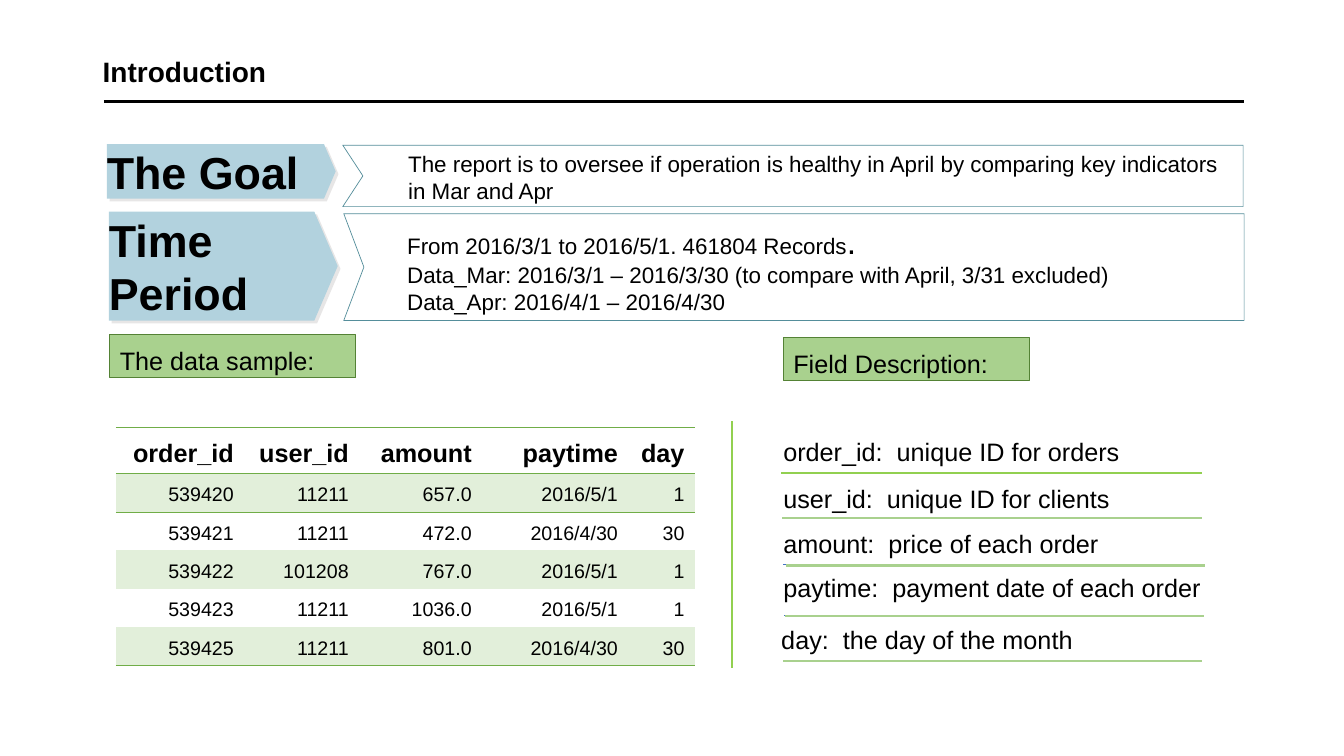
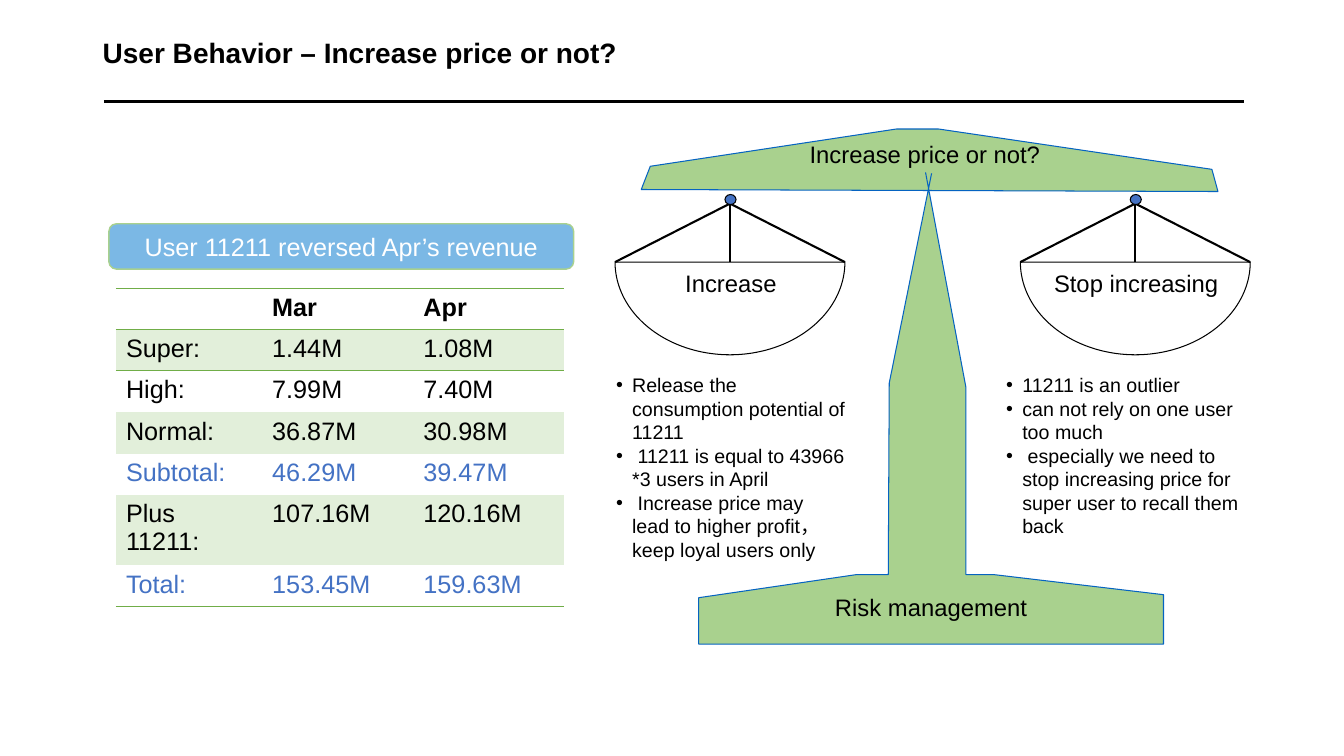
from lxml import etree
from pptx import Presentation
from pptx import util as u
from pptx.dml.color import RGBColor
from pptx.enum import shapes, text
from pptx.oxml import ns

Inches, Pt = u.Inches, u.Pt
SHAPE = shapes.MSO_SHAPE
ALIGN = text.PP_ALIGN
ANCHOR = text.MSO_ANCHOR
FONT = "Arial"
PLAIN_TABLE_STYLE = "{2D5ABB26-0587-4C30-8999-92F81FD0307C}"
COLORS = {
    "black": "000000", "white": "FFFFFF", "blue": "4472C4", "sky": "7BB8E5",
    "outline": "0563C1", "green": "70AD47", "leaf": "A9D18E", "lime": "92D050",
    "forest": "548235", "band": "E2EFDA", "plate": "B2D2DE", "teal": "558E9B",
    "shade": "E7E6E6",
}


def rgb(name):
    """Look up a named colour."""
    return RGBColor.from_string(COLORS[name])


def child(parent, tag, **attributes):
    """Append a DrawingML element."""
    return etree.SubElement(parent, ns.qn(tag), attributes)


def write(frame, lines, size, color="black", bold=False, align=ALIGN.LEFT,
          spacing=None, bullet=False):
    """Write one paragraph per line in a text frame."""
    for index, line in enumerate(lines):
        paragraph = frame.paragraphs[0] if index == 0 else frame.add_paragraph()
        paragraph.text = line
        paragraph.alignment = align
        if spacing:
            paragraph.line_spacing = spacing
        if bullet:
            properties = paragraph._p.get_or_add_pPr()
            properties.set("marL", str(Inches(0.16)))
            properties.set("indent", str(-Inches(0.16)))
            child(properties, "a:buFont", typeface=FONT)
            child(properties, "a:buChar", char="•")
        font = paragraph.font
        font.name, font.size, font.bold = FONT, Pt(size), bold
        font.color.rgb = rgb(color)


def prepare(frame, inset=True, anchor=ANCHOR.TOP):
    """Set wrapping, anchor and margins of a text frame."""
    frame.word_wrap = True
    frame.vertical_anchor = anchor
    if not inset:
        frame.margin_left = frame.margin_right = 0
        frame.margin_top = frame.margin_bottom = 0


def add_text(slide, box, lines, size, inset=True, anchor=ANCHOR.TOP, **style):
    """Add a text box and return it."""
    shape = slide.shapes.add_textbox(*map(Inches, box))
    prepare(shape.text_frame, inset, anchor)
    write(shape.text_frame, lines, size, **style)
    return shape


def paint(shape, fill=None, line=None, width=0.75):
    """Set fill and outline, without a shadow."""
    shape.shadow.inherit = False
    if fill:
        shape.fill.solid()
        shape.fill.fore_color.rgb = rgb(fill)
    else:
        shape.fill.background()
    if line:
        shape.line.color.rgb = rgb(line)
        shape.line.width = Pt(width)
    else:
        shape.line.fill.background()


def add_shape(slide, kind, box, **look):
    """Add a painted preset shape."""
    shape = slide.shapes.add_shape(kind, *map(Inches, box))
    paint(shape, **look)
    return shape


def add_outline(slide, points, close=True, **look):
    """Add a painted polygon through points in inches."""
    corners = [(Inches(x), Inches(y)) for x, y in points]
    builder = slide.shapes.build_freeform(*corners[0])
    builder.add_line_segments(corners[1:], close=close)
    paint(builder.convert_to_shape(), **look)


def add_line(slide, start, end, color="black", width=1.5):
    """Add a straight line."""
    line = slide.shapes.add_connector(
        shapes.MSO_CONNECTOR.STRAIGHT, *map(Inches, (*start, *end)))
    line.line.color.rgb = rgb(color)
    line.line.width = Pt(width)
    child(line._element.spPr, "a:effectLst")


def add_header(slide, title, top):
    """Add the title and the rule below it."""
    add_text(slide, (0.92, top, 11.5, 0.54), [title], 20, bold=True,
             anchor=ANCHOR.MIDDLE, spacing=1.2)
    add_line(slide, (1.03, 1.01), (12.34, 1.01), width=2.25)


def add_border(cell, side):
    """Draw a green border on one side of a cell."""
    line = child(cell._tc.get_or_add_tcPr(), side, w=str(Pt(1)))
    fill = child(line, "a:solidFill")
    child(fill, "a:srgbClr", val=COLORS["green"])


def add_grid(slide, left, top, widths, heights, rows, body_size, accents=(),
             anchor=ANCHOR.TOP, **style):
    """Add a banded table with green rules; accent rows are blue."""
    frame = slide.shapes.add_table(
        len(rows), len(widths), Inches(left), Inches(top),
        Inches(sum(widths)), Inches(sum(heights)))
    table = frame.table
    table.first_row = table.horz_banding = False
    table._tbl.tblPr.find(ns.qn("a:tableStyleId")).text = PLAIN_TABLE_STYLE
    for column, width in zip(table.columns, widths):
        column.width = Inches(width)
    for index, (row, height, values) in enumerate(zip(table.rows, heights, rows)):
        row.height = Inches(height)
        for cell, value in zip(row.cells, values):
            if index in (0, 1):
                add_border(cell, "a:lnT")
            if index in (0, len(rows) - 1):
                add_border(cell, "a:lnB")
            if index % 2:
                cell.fill.solid()
                cell.fill.fore_color.rgb = rgb("band")
            else:
                cell.fill.background()
            cell.vertical_anchor = anchor
            write(cell.text_frame, [value], body_size if index else 18,
                  color="blue" if index in accents else "black",
                  bold=index == 0, **style)


def add_plate(slide, box, label):
    """Add a pentagon plate with a hard shadow."""
    plate = add_shape(slide, SHAPE.PENTAGON, box, fill="plate")
    plate.adjustments[0] = 0.215
    effects = plate._element.spPr.find(ns.qn("a:effectLst"))
    shadow = child(effects, "a:outerShdw", dist=str(Pt(2.8)), dir="2700000",
                   algn="tl", rotWithShape="0")
    child(shadow, "a:srgbClr", val=COLORS["shade"])
    prepare(plate.text_frame, inset=False, anchor=ANCHOR.MIDDLE)
    write(plate.text_frame, [label], 32, bold=True)


def add_notched_panel(slide, left, top, width, height):
    """Add an outlined panel with a notch on its left side."""
    right, bottom = left + width, top + height
    add_outline(slide, [(right, top), (left, top), (left + 0.2, top + height / 2),
                        (left, bottom), (right, bottom)], line="teal", width=0.5)


def add_tag(slide, left, top, label):
    """Add a green section tag."""
    tag = add_shape(slide, SHAPE.RECTANGLE, (left, top, 2.44, 0.43),
                    fill="leaf", line="forest")
    prepare(tag.text_frame)
    write(tag.text_frame, [label], 18, spacing=1.2)


def add_fields(slide, left, right):
    """Add the field descriptions with their underlines."""
    fields = [
        ("order_id:  unique ID for orders", 4.28, 0.02),
        ("user_id:  unique ID for clients", 4.75, 0.02),
        ("amount:  price of each order", 5.19, 0.02),
        ("paytime:  payment date of each order", 5.63, 0.02),
        ("day:  the day of the month", 6.14, 0),
    ]
    for label, top, shift in fields:
        add_text(slide, (left + shift, top, 4.55, 0.4), [label], 18)
    underlines = [
        (0.1, 4.69, 0, "lime", 1.5), (0.11, 5.14, 0, "leaf", 1.5),
        (0.12, 5.6, 0, "blue", 0.5), (0.15, 5.61, 0.03, "leaf", 1.5),
        (0.13, 6.1, 0, "blue", 0.5), (0.14, 6.11, 0.02, "leaf", 1.5),
        (0.12, 6.56, 0, "leaf", 1.5),
    ]
    for indent, y, overhang, color, width in underlines:
        add_line(slide, (left + indent, y), (right + overhang, y), color, width)


def add_pan(slide, left, top, label):
    """Add a hanging scale pan with its label."""
    width, depth, drop = 2.28, 0.92, 0.58
    center, rim = left + width / 2, top + drop
    bowl = add_shape(slide, SHAPE.CHORD, (left, rim - depth, width, 2 * depth),
                     line="black")
    bowl.adjustments[0], bowl.adjustments[1] = 0, 108
    for x in (left, center, left + width):
        add_line(slide, (x, rim), (center, top))
    add_shape(slide, SHAPE.OVAL, (center - 0.05, top - 0.09, 0.11, 0.1),
              fill="blue", line="black")
    add_text(slide, (left + 0.08, rim + 0.07, 2.14, 0.29), [label], 17,
             inset=False, align=ALIGN.CENTER)


def add_scale(slide):
    """Add the beam, the stand and both pans with their arguments."""
    green = {"fill": "leaf", "line": "outline"}
    add_outline(slide, [(6.36, 1.88), (12.08, 1.9), (12.02, 1.68), (9.31, 1.28),
                        (8.89, 1.28), (6.45, 1.65)], **green)
    add_outline(slide, [(9.18, 1.71), (9.58, 3.84), (9.58, 5.7), (9.85, 5.7),
                        (11.54, 5.9), (11.54, 6.39), (6.93, 6.39), (6.93, 5.93),
                        (8.5, 5.7), (8.81, 5.7), (8.82, 3.8), (9.24, 1.72)],
                close=False, **green)
    for box, label in [((6.96, 5.88, 4.55, 0.27), "Risk management"),
                       ((7.81, 1.39, 2.73, 0.29), "Increase price or not?")]:
        add_text(slide, box, [label], 17, inset=False, align=ALIGN.CENTER)
    add_pan(slide, 6.1, 2.02, "Increase")
    add_pan(slide, 10.12, 2.02, "Stop increasing")
    arguments = [
        ((6.11, 3.7, 2.28, 1.88), [
            "Release the consumption potential of 11211",
            " 11211 is equal to 43966 *3 users in April",
            " Increase price may lead to higher profit，keep loyal users only"]),
        ((9.98, 3.7, 2.36, 1.65), [
            "11211 is an outlier",
            "can not rely on one user too much",
            " especially we need to stop increasing price for super user"
            " to recall them back"]),
    ]
    for box, points in arguments:
        add_text(slide, box, points, 14, inset=False, bullet=True)


def build_introduction(slide):
    """Build the slide with goal, period, data sample and fields."""
    add_header(slide, "Introduction", 0.4)
    add_plate(slide, (1.06, 1.43, 2.27, 0.54), "The Goal")
    add_plate(slide, (1.08, 2.1, 2.27, 1.08), "Time Period")
    add_notched_panel(slide, 3.4, 1.44, 8.93, 0.61)
    add_notched_panel(slide, 3.41, 2.12, 8.93, 1.06)
    add_text(slide, (3.95, 1.44, 8.25, 0.64), [
        "The report is to oversee if operation is healthy in April by comparing "
        "key indicators in Mar and Apr"], 16)
    period = add_text(slide, (3.94, 2.14, 8.26, 1.04), [
        "From 2016/3/1 to 2016/5/1. 461804 Records",
        "Data_Mar: 2016/3/1 – 2016/3/30 (to compare with April, 3/31 excluded)",
        "Data_Apr: 2016/4/1 – 2016/4/30"], 16)
    stop = period.text_frame.paragraphs[0].add_run()
    stop.text, stop.font.size = ".", Pt(24)
    add_tag(slide, 1.09, 3.32, "The data sample:")
    add_tag(slide, 7.77, 3.35, "Field Description:")
    orders = [
        ("order_id", "user_id", "amount", "paytime", "day"),
        ("539420", "11211", "657.0", "2016/5/1", "1"),
        ("539421", "11211", "472.0", "2016/4/30", "30"),
        ("539422", "101208", "767.0", "2016/5/1", "1"),
        ("539423", "11211", "1036.0", "2016/5/1", "1"),
        ("539425", "11211", "801.0", "2016/4/30", "30"),
    ]
    add_grid(slide, 1.15, 4.24, [1.27, 1.14, 1.22, 1.45, 0.66],
             [0.46] + [0.38] * 5, orders, 14, anchor=ANCHOR.MIDDLE,
             align=ALIGN.RIGHT, spacing=1.2)
    add_line(slide, (7.26, 4.18), (7.26, 6.63), "lime")
    add_fields(slide, 7.65, 11.92)


def build_behavior(slide):
    """Build the slide with the revenue table and the scale."""
    add_header(slide, "User Behavior – Increase price or not?", 0.22)
    banner = add_shape(slide, SHAPE.ROUNDED_RECTANGLE, (1.08, 2.22, 4.61, 0.45),
                       fill="sky", line="leaf", width=1)
    prepare(banner.text_frame, anchor=ANCHOR.MIDDLE)
    write(banner.text_frame, ["User 11211 reversed Apr’s revenue"], 18,
          color="white", align=ALIGN.CENTER)
    revenue = [
        ("", "Mar", "Apr"),
        ("Super:", "1.44M", "1.08M"),
        ("High:", "7.99M", "7.40M"),
        ("Normal:", "36.87M", "30.98M"),
        ("Subtotal:", "46.29M", "39.47M"),
        ("Plus 11211:", "107.16M", "120.16M"),
        ("Total:", "153.45M", "159.63M"),
    ]
    add_grid(slide, 1.15, 2.86, [1.45, 1.5, 1.49], [0.41] * 7, revenue, 18,
             accents=(4, 6))
    add_scale(slide)


presentation = Presentation()
presentation.slide_width, presentation.slide_height = Inches(13.33), Inches(7.5)
for build in (build_introduction, build_behavior):
    build(presentation.slides.add_slide(presentation.slide_layouts[6]))
presentation.save("out.pptx")
